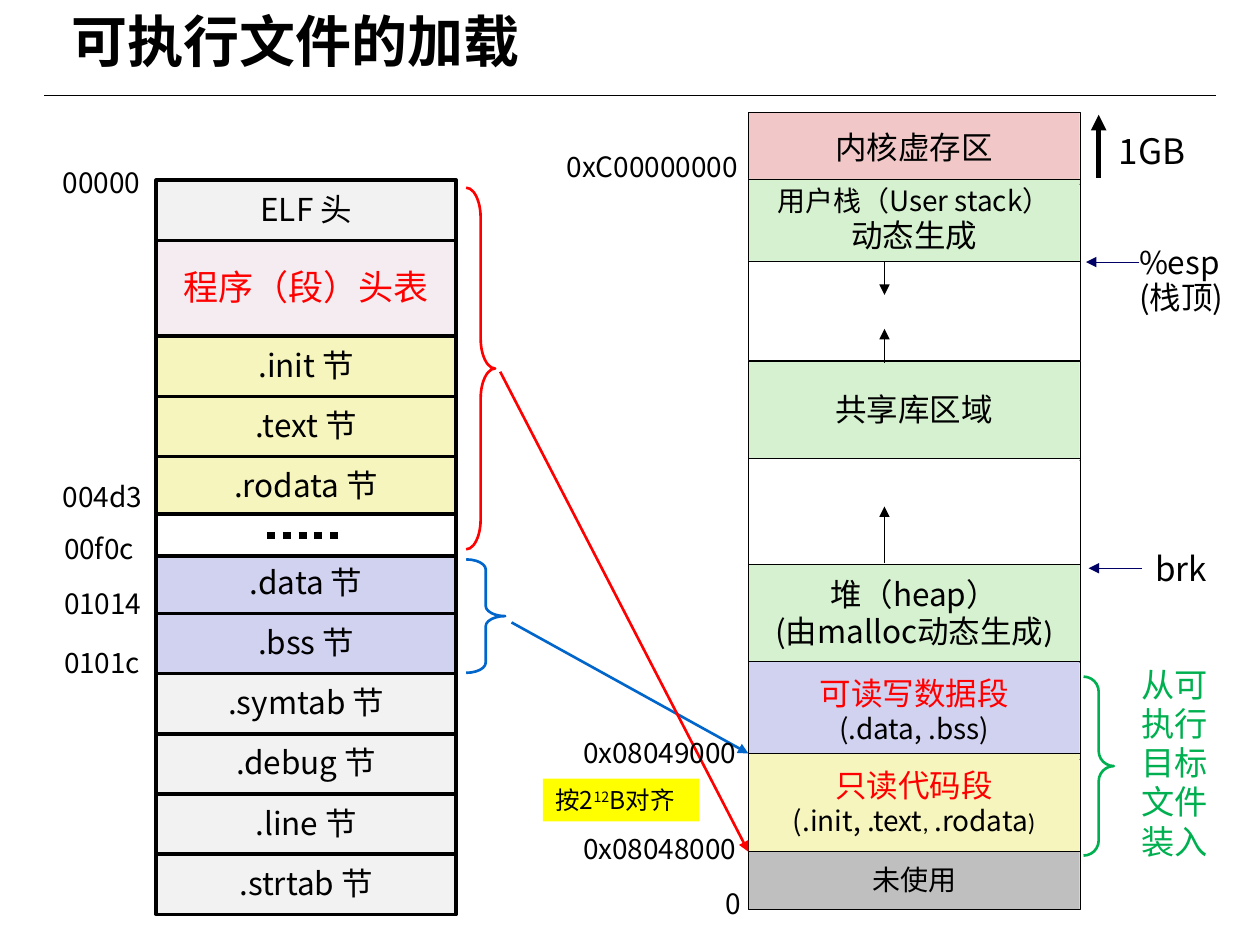
import pptx
import pptx.util
import pptx.dml.color
import pptx.enum.dml
import pptx.enum.shapes
import pptx.enum.text
import pptx.oxml.ns
import lxml.etree

deck = pptx.Presentation()
deck.slide_width = pptx.util.Inches(10)
deck.slide_height = pptx.util.Inches(7.5)
slide = deck.slides.add_slide(deck.slide_layouts[6])
shapes = slide.shapes

# Square grid: 100 columns by 75 rows
cell = deck.slide_width / 100
qn = pptx.oxml.ns.qn
preset = pptx.enum.shapes.MSO_SHAPE
SANS = "Noto Sans CJK SC"

colors = {name: pptx.dml.color.RGBColor.from_string(code) for name, code in {
    "black": "000000", "white": "FFFFFF", "red": "FF0000", "blue": "0066CC",
    "navy": "000066", "green": "00B050", "yellow": "FFFF00", "plum": "993366",
    "header": "F2F2F2", "code": "F6F5BD", "data": "D1D1F0",
    "kernel": "F1C7C7", "dynamic": "D5F1CF", "unused": "BFBFBF"}.items()}


def add_block(kind, left, top, width, height, paragraphs=(), fill=None, line=None,
              weight=0.25, centred=True, wrap=False, spacing=0.98):
    """Draw a preset shape, or a text box when kind is None.

    A paragraph is (content, size, colour, font); content is a string
    or a list of (text, size, font) runs.
    """
    place = [round(n * cell) for n in (left, top, width, height)]
    if kind is None:
        block = shapes.add_textbox(*place)
        block.text_frame.auto_size = pptx.enum.text.MSO_AUTO_SIZE.SHAPE_TO_FIT_TEXT
    else:
        block = shapes.add_shape(kind, *place)
        block.shadow.inherit = False
        block.text_frame.vertical_anchor = pptx.enum.text.MSO_ANCHOR.MIDDLE
        if fill:
            block.fill.solid()
            block.fill.fore_color.rgb = colors[fill]
        else:
            block.fill.background()
        if line:
            block.line.color.rgb = colors[line]
            block.line.width = pptx.util.Pt(weight)
        else:
            block.line.fill.background()
    frame = block.text_frame
    frame.word_wrap = wrap
    for number, (content, size, color, font) in enumerate(paragraphs):
        paragraph = frame.add_paragraph() if number else frame.paragraphs[0]
        align = pptx.enum.text.PP_ALIGN
        paragraph.alignment = align.CENTER if centred else align.LEFT
        paragraph.line_spacing = spacing
        paragraph.font.size = pptx.util.Pt(size)
        paragraph.font.color.rgb = colors[color]
        paragraph.font.name = font
        lxml.etree.SubElement(paragraph.font._element, qn("a:ea"), typeface=SANS)
        if isinstance(content, str):
            paragraph.add_run().text = content
        else:
            for text, run_size, run_font in content:
                run = paragraph.add_run()
                run.text = text
                run.font.size = pptx.util.Pt(run_size)
                run.font.name = run_font
    return block


def add_line(x1, y1, x2, y2, color, weight, arrow=True):
    line = shapes.add_connector(pptx.enum.shapes.MSO_CONNECTOR.STRAIGHT,
                                *[round(n * cell) for n in (x1, y1, x2, y2)])
    line.line.color.rgb = colors[color]
    line.line.width = pptx.util.Pt(weight)
    if arrow:
        lxml.etree.SubElement(line.line._get_or_add_ln(), qn("a:tailEnd"), type="triangle")
    lxml.etree.SubElement(line._element.spPr, qn("a:effectLst"))
    return line


# Title and rule
title = add_block(None, 4.7, 0, 91, 7.1, [("可执行文件的加载", 32, "black", "Arial")],
                  centred=False, wrap=True, spacing=1)
title.text_frame.paragraphs[0].font.bold = True
add_line(3.5, 7.6, 96.5, 7.6, "black", 0.75, arrow=False)

# Process memory, from high to low addresses
memory_left, memory_width = 59.4, 26.3
memory_bands = [
    (8.9, 5.7, "kernel", [("内核虚存区", 18, "black", SANS)]),
    (14.2, 6.5, "dynamic", [("用户栈（User stack）", 16, "black", SANS),
                            ("动态生成", 18, "black", "Calibri")]),
    (20.7, 7.9, "white", []),
    (28.7, 7.8, "dynamic", [("共享库区域", 18, "black", SANS)]),
    (36.4, 8.4, "white", []),
    (44.8, 7.8, "dynamic", [("堆（heap）", 18, "black", SANS),
                            ([("(由malloc动态生成", 18, SANS), (")", 18, "Calibri")],
                             18, "black", SANS)]),
    (52.5, 7.8, "data", [("可读写数据段", 18, "red", SANS),
                         ("(.data, .bss)", 16, "black", SANS)]),
    (59.8, 7.8, "code", [("只读代码段", 18, "red", SANS),
                         ([("(.init, .text", 16, SANS), (", ", 14, "Calibri"),
                           (".rodata", 16, SANS), (")", 14, "Calibri")],
                          16, "black", SANS)]),
    (67.6, 4.6, "unused", [("未使用", 16, "black", SANS)]),
]
for top, height, fill, paragraphs in memory_bands:
    add_block(preset.RECTANGLE, memory_left, top, memory_width, height, paragraphs,
              fill, "black")

# Growth directions and pointers
for start, end in ((20.8, 23.4), (28.8, 26.1), (44.7, 40.2)):
    add_line(70.2, start, 70.2, end, "black", 0.25)
add_line(87.2, 14.1, 87.2, 9.1, "black", 3)
add_line(90.4, 20.8, 86.2, 20.8, "navy", 0.25)
add_line(90.6, 45.1, 86.4, 45.1, "navy", 0.25)

# Executable file, sections stacked from offset 0
file_left, file_width, section_height = 12.4, 23.8, 4.78
file_sections = [
    ("ELF 头", "header"), ("程序（段）头表", "plum"), (".init 节", "code"),
    (".text 节", "code"), (".rodata 节", "code"), (None, "white"),
    (".data 节", "data"), (".bss 节", "data"), (".symtab 节", "header"),
    (".debug 节", "header"), (".line 节", "header"), (".strtab 节", "header")]
top = 14.3
for label, fill in file_sections:
    if label is None:
        top += 2.88  # room for the omitted sections
        continue
    is_table = fill == "plum"
    height = 7.6 if is_table else section_height
    section = add_block(
        preset.RECTANGLE, file_left, top, file_width, height,
        [(label, 20 if is_table else 18, "red" if is_table else "black", SANS)],
        fill, "black", 2)
    if is_table:
        tint = section._element.spPr.find(qn("a:solidFill")).find(qn("a:srgbClr"))
        lxml.etree.SubElement(tint, qn("a:alpha"), val="9000")
    top += height

# Omitted sections
add_block(preset.RECTANGLE, file_left, 40.8, file_width, 3.3, fill="white",
          line="black", weight=2.25)
ellipsis = add_line(21.2, 42.5, 27.3, 42.5, "black", 4.5, arrow=False)
ellipsis.line.dash_style = pptx.enum.dml.MSO_LINE.ROUND_DOT

# Braces and the mapping from file to memory
for left, top, width, height, color, curl in (
        (37, 14.9, 2.3, 28.7, "red", 1.04),
        (37, 44.4, 3.1, 9, "blue", 0.26),
        (86, 53.7, 2.4, 14.2, "green", 0.5)):
    brace = add_block(preset.RIGHT_BRACE, left, top, width, height, line=color, weight=1.5)
    brace.adjustments[0] = curl
add_line(40.6, 49.4, memory_left, 59.8, "blue", 1.5)
add_line(39.7, 29.5, memory_left, 67.6, "red", 1.5)

# File offsets
for left, top, offset in ((4, 12.8, "00000"), (4, 37.7, "004d3"), (4.1, 41.8, "00f0c"),
                          (4.1, 46.2, "01014"), (4.1, 50.9, "0101c")):
    add_block(None, left, top, 10.2, 3.6, [(offset, 16, "black", SANS)],
              centred=False, wrap=True)

# Memory addresses
for left, top, width, address in ((44, 11.6, 16, "0xC00000000"),
                                  (45.3, 58.1, 14.6, "0x08049000"),
                                  (45.3, 65.7, 14.6, "0x08048000"),
                                  (56.6, 70.1, 3.2, "0")):
    add_block(None, left, top, width, 3.5, [(address, 16, "black", SANS)],
              centred=False, spacing=0.94)

# Notes beside the memory
add_block(None, 87.8, 9.8, 9.2, 4.4, [("1GB", 20, "black", SANS)],
          centred=False, wrap=True, spacing=1)
stack_top = add_block(None, 90.4, 19, 8, 6.8,
                      [("%esp", 18, "black", SANS), ("(栈顶)", 18, "black", SANS)],
                      centred=False, wrap=True, spacing=0.94)
stack_top.text_frame.margin_left = stack_top.text_frame.margin_right = 0
add_block(None, 90.7, 43.3, 6.1, 4, [("brk", 19, "black", SANS)],
          centred=False, spacing=0.94)
add_block(None, 89.6, 52.4, 8.2, 16.5, [("从可执行目标文件装入", 19, "green", "Calibri")],
          centred=False, wrap=True)

# Alignment note
alignment = add_block(preset.RECTANGLE, 43.1, 61.8, 12.4, 3.4,
                      [([("按2", 14, SANS), ("12", 14, SANS), ("B对齐", 14, SANS)],
                        14, "black", SANS)], "yellow", centred=False, spacing=1)
alignment.text_frame.paragraphs[0].runs[1].font._element.set("baseline", "30000")

deck.save("out.pptx")
